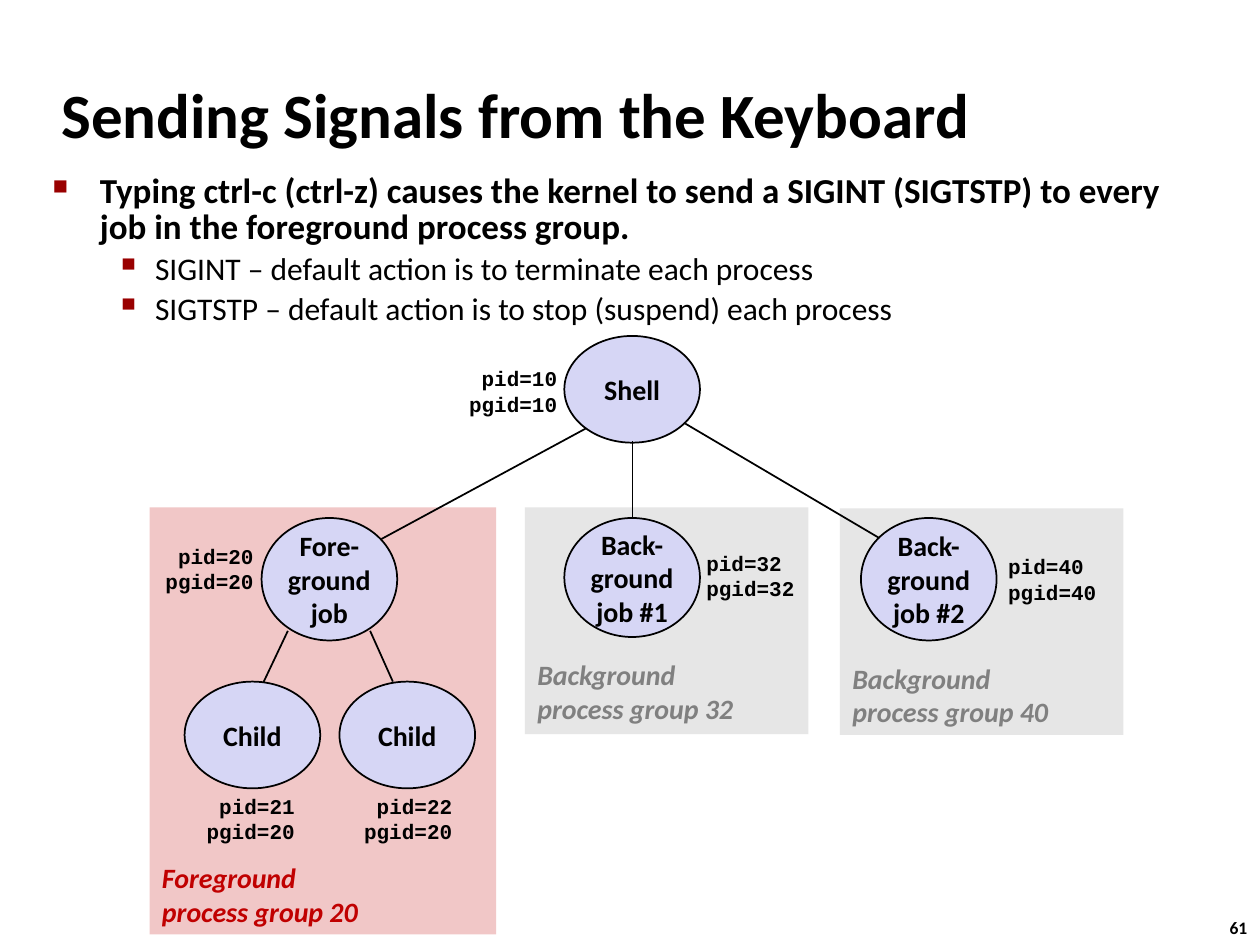
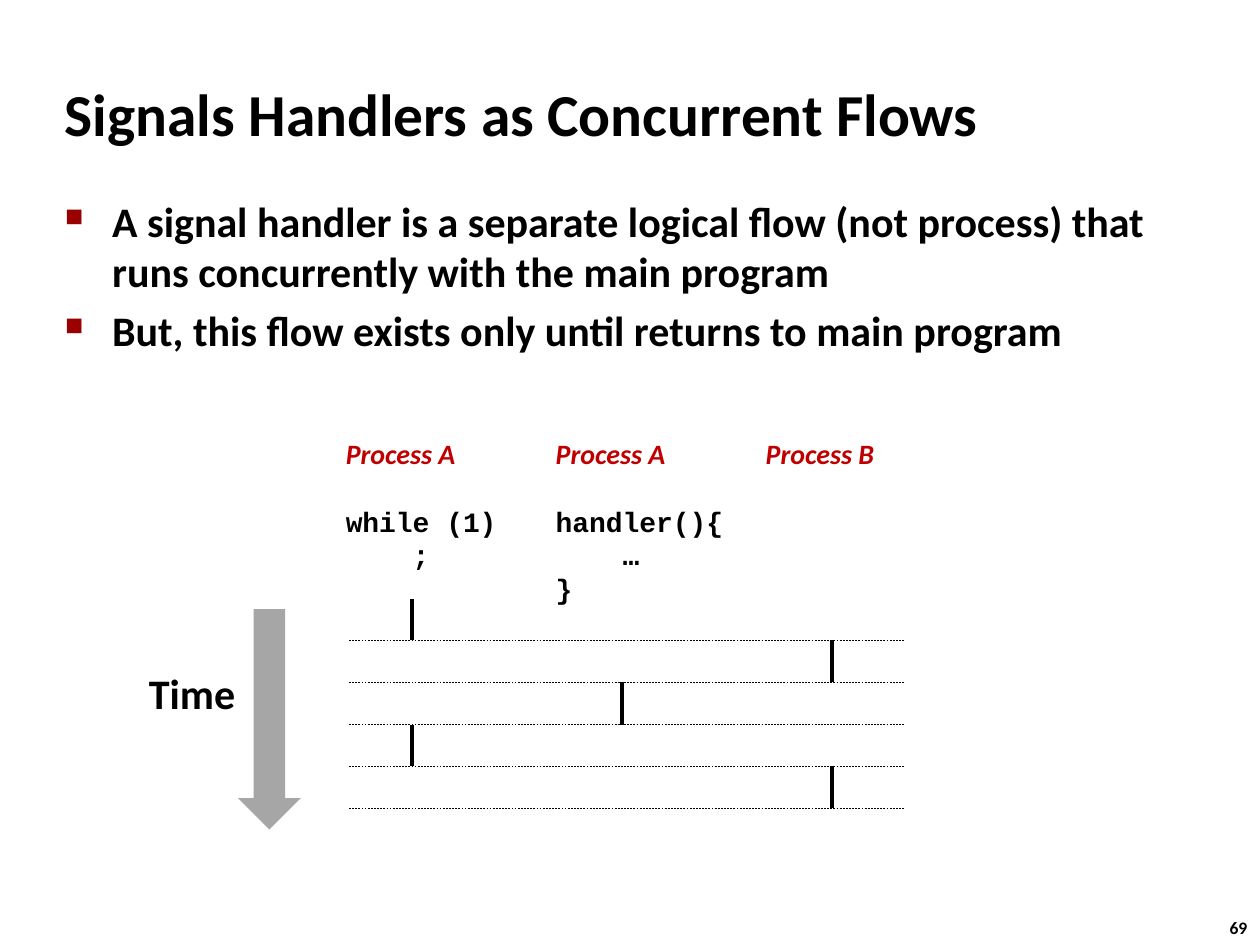
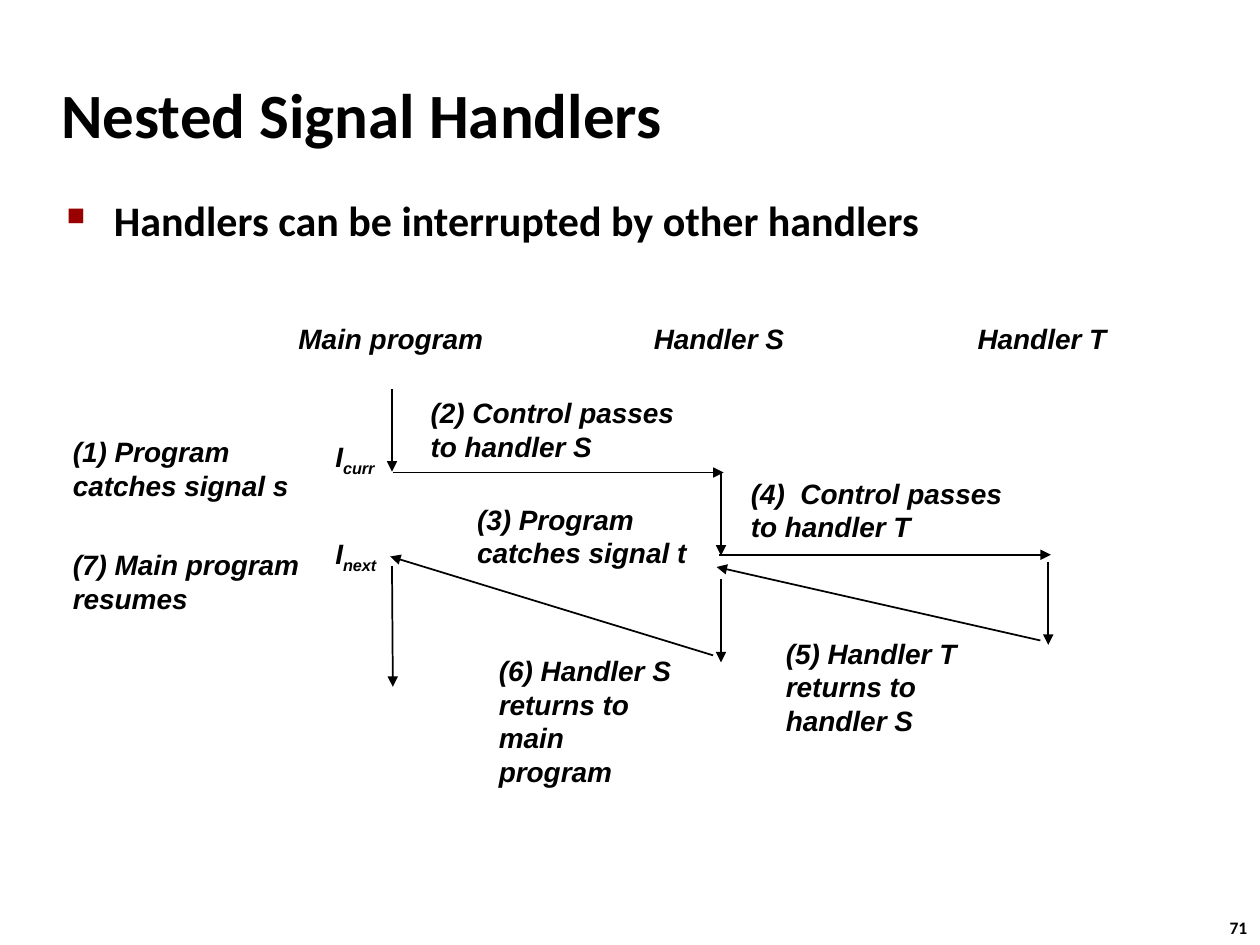
import pptx
import pptx.util
import pptx.dml.color
import pptx.enum.dml
import pptx.enum.shapes
import pptx.enum.text
import pptx.oxml.ns
from lxml import etree

Pt = pptx.util.Pt
ALIGN = pptx.enum.text.PP_ALIGN
ANCHOR = pptx.enum.text.MSO_ANCHOR
SHAPE = pptx.enum.shapes.MSO_SHAPE

COLORS = {
    "black": "000000",
    "bullet": "990000",
    "red": "C00000",
    "gray": "808080",
    "arrow": "A6A6A6",
    "background_group": "E6E6E6",
    "foreground_group": "F1C7C7",
    "process": "D6D6F5",
}

STYLES = {
    "title": ("Calibri", 36, "black", True, False),
    "long_title": ("Calibri", 34, "black", True, False),
    "number": ("Calibri", 10, "black", True, False),
    "bullet": ("Calibri", 24, "black", True, False),
    "small_bullet": ("Calibri", 20, "black", True, False),
    "sub_bullet": ("Calibri", 18, "black", False, False),
    "process": ("Calibri", 16, "black", True, False),
    "red_caption": ("Calibri", 16, "red", True, True),
    "gray_caption": ("Calibri", 16, "gray", True, True),
    "pid": ("Courier New", 12, "black", True, False),
    "code": ("Courier New", 16, "black", True, False),
    "step": ("Arial", 16, "black", True, True),
}

BULLETS = {
    "bullet": ("■", 60, 27, 27, None, 0),
    "small_bullet": ("■", 60, 27, 27, 0.85, 0),
    "sub_bullet": ("▪", 110, 58.5, 22.5, 0.9, 1),
}


def rgb(name):
    return pptx.dml.color.RGBColor.from_string(COLORS[name])


def add_element(parent, tag, **attributes):
    return etree.SubElement(parent, pptx.oxml.ns.qn(tag), attributes)


def format_paragraph(paragraph, style):
    name, size, color, bold, italic = STYLES[style]
    for run in paragraph.runs:
        run.font.name = name
        run.font.size = Pt(size)
        run.font.color.rgb = rgb(color)
        run.font.bold = bold
        run.font.italic = italic


def fill_text(text_frame, text, style, align=ALIGN.LEFT):
    text_frame.text = text
    for paragraph in text_frame.paragraphs:
        paragraph.alignment = align
        format_paragraph(paragraph, style)


def add_text(slide, box, text, style, align=ALIGN.LEFT, anchor=ANCHOR.TOP, wrap=False, grow=True):
    text_frame = slide.shapes.add_textbox(*map(Pt, box)).text_frame
    text_frame.word_wrap = wrap
    text_frame.vertical_anchor = anchor
    if grow:
        text_frame.auto_size = pptx.enum.text.MSO_AUTO_SIZE.SHAPE_TO_FIT_TEXT
    fill_text(text_frame, text, style, align)
    return text_frame


def add_bullets(slide, box, items):
    text = "\n".join(item for item, _ in items)
    text_frame = add_text(slide, box, text, items[0][1], wrap=True, grow=False)
    for index, (_, style) in enumerate(items):
        paragraph = text_frame.paragraphs[index]
        character, percent, margin, hanging, spacing, level = BULLETS[style]
        properties = paragraph._p.get_or_add_pPr()
        properties.set("marL", str(Pt(margin)))
        properties.set("indent", str(-Pt(hanging)))
        color = add_element(properties, "a:buClr")
        add_element(color, "a:srgbClr", val=COLORS["bullet"])
        add_element(properties, "a:buSzPct", val=str(percent * 1000))
        add_element(properties, "a:buChar", char=character)
        paragraph.level = level
        paragraph.line_spacing = spacing
        if index:
            paragraph.space_before = Pt(0.2 * STYLES[style][1])
        format_paragraph(paragraph, style)


def add_shape(slide, kind, box, fill, outline=None):
    shape = slide.shapes.add_shape(kind, *map(Pt, box))
    shape.shadow.inherit = False
    shape.fill.solid()
    shape.fill.fore_color.rgb = rgb(fill)
    if outline:
        shape.line.color.rgb = rgb(outline)
        shape.line.width = Pt(1)
    else:
        shape.line.fill.background()
    return shape


def add_process(slide, left, top, height, text):
    shape = add_shape(slide, SHAPE.OVAL, (left, top, 77.5, height), "process", "black")
    shape.text_frame.word_wrap = False
    shape.text_frame.vertical_anchor = ANCHOR.MIDDLE
    fill_text(shape.text_frame, text, "process", ALIGN.CENTER)


def add_line(slide, points, width=1, dashed=False, arrow=False):
    connector = slide.shapes.add_connector(
        pptx.enum.shapes.MSO_CONNECTOR.STRAIGHT, *map(Pt, points))
    connector.line.color.rgb = rgb("black")
    connector.line.width = Pt(width)
    if dashed:
        connector.line.dash_style = pptx.enum.dml.MSO_LINE.DASH
    properties = connector._element.spPr
    if arrow:
        add_element(properties.find(pptx.oxml.ns.qn("a:ln")), "a:tailEnd", type="triangle")
    add_element(properties, "a:effectLst")


def add_slide(presentation, number, title, left=28, style="title"):
    slide = presentation.slides.add_slide(presentation.slide_layouts[6])
    add_text(slide, (695.5, 520.5, 26.5, 19.5), str(number), "number")
    add_text(slide, (left, 34.5, 597.5, 60), title, style,
             anchor=ANCHOR.MIDDLE, wrap=True, grow=False)
    return slide


def add_keyboard_slide(presentation):
    slide = add_slide(presentation, 61, "Sending Signals from the Keyboard")
    add_bullets(slide, (23, 96.5, 654.5, 101.5), [
        ("Typing ctrl-c (ctrl-z) causes the kernel to send a SIGINT (SIGTSTP) "
         "to every job in the foreground process group.", "small_bullet"),
        ("SIGINT – default action is to terminate each process", "sub_bullet"),
        ("SIGTSTP – default action is to stop (suspend) each process", "sub_bullet"),
    ])

    for box, fill in [
        ((480, 290.5, 162, 129.5), "background_group"),
        ((300, 290, 162, 129.5), "background_group"),
        ((85.5, 290, 198, 244), "foreground_group"),
    ]:
        add_shape(slide, SHAPE.RECTANGLE, box, fill)

    for process in [
        (149.5, 296, 70, "Fore-\nground\njob"),
        (322.5, 296, 68, "Back-\nground\njob #1"),
        (492, 296, 70, "Back-\nground\njob #2"),
        (322.5, 192, 61, "Shell"),
        (105.5, 389.5, 61, "Child"),
        (194, 389.5, 61, "Child"),
    ]:
        add_process(slide, *process)

    for points in [
        (164.5, 360.5, 150.5, 390),
        (211.5, 360.5, 224.5, 389.5),
        (361.5, 252, 361.5, 296),
        (334.5, 245, 218, 308),
        (391.5, 242, 502.5, 307.5),
    ]:
        add_line(slide, points)

    for left, top, pid, pgid, align in [
        (260, 205.5, 10, 10, ALIGN.RIGHT),
        (86.5, 307, 20, 20, ALIGN.RIGHT),
        (396.5, 311, 32, 32, ALIGN.LEFT),
        (569, 313, 40, 40, ALIGN.LEFT),
        (110, 450, 21, 20, ALIGN.RIGHT),
        (200, 450, 22, 20, ALIGN.RIGHT),
    ]:
        add_text(slide, (left, top, 65.5, 36), f"pid={pid}\npgid={pgid}", "pid",
                 align, ANCHOR.MIDDLE)

    for left, top, group, number, style in [
        (85.5, 488, "Foreground", 20, "red_caption"),
        (300, 372, "Background", 32, "gray_caption"),
        (480, 374, "Background", 40, "gray_caption"),
    ]:
        add_text(slide, (left, top, 128, 46), f"{group}\nprocess group {number}", style,
                 anchor=ANCHOR.MIDDLE)


def add_flows_slide(presentation):
    slide = add_slide(presentation, 69, "Signals Handlers as Concurrent Flows", 30, "long_title")
    add_bullets(slide, (30, 108, 654.5, 102), [
        ("A signal handler is a separate logical flow (not process) that "
         "runs concurrently with the main program", "bullet"),
        ("But, this flow exists only until returns to main program", "bullet"),
    ])

    column_gap, row_height, first_row = 120, 24, 342
    for column, (width, height, lines) in enumerate([
        (101, 84, ["Process A", "while (1)", "    ;"]),
        (111, 103.5, ["Process A", "handler(){", "    …", "}"]),
        (78, 26.5, ["Process B"]),
    ]):
        box = (190.5 + column * column_gap, 246, width, height)
        text_frame = add_text(slide, box, "\n".join(lines), "red_caption")
        for paragraph in text_frame.paragraphs[1:]:
            format_paragraph(paragraph, "code")
        if len(lines) > 1:
            text_frame.paragraphs[1].space_before = Pt(19.5)

    for row, running_column in enumerate([0, 2, 1, 0, 2]):
        x = 235.5 + running_column * column_gap
        top = first_row + row * row_height
        bottom = top + row_height
        add_line(slide, (x, top, x, bottom), width=2)
        add_line(slide, (199.5, bottom, 517, bottom), width=0.25, dashed=True)

    add_text(slide, (78, 378, 64, 36), "Time", "bullet", wrap=True)
    add_shape(slide, SHAPE.DOWN_ARROW, (136, 348, 36, 126), "arrow")


def add_nested_slide(presentation):
    slide = add_slide(presentation, 71, "Nested Signal Handlers")
    add_bullets(slide, (31, 107.5, 622, 49),
                [("Handlers can be interrupted by other handlers", "bullet")])

    for points in [
        (224, 222.5, 224, 269.5),
        (224.5, 270, 413.5, 270),
        (594.5, 366, 409.5, 324),
        (224, 323.5, 224.5, 392.5),
        (412, 270, 412, 317.5),
        (411, 317, 600.5, 317),
        (599, 321, 599, 368.5),
        (412, 331, 412, 378.5),
        (407.5, 374.5, 223, 318),
    ]:
        add_line(slide, points, arrow=True)

    for left, top, width, height, text in [
        (163.5, 180, 125, 26.5, "Main program"),
        (366.5, 180, 96, 26.5, "Handler S"),
        (551.5, 180, 96, 26.5, "Handler T"),
        (34.5, 245, 151, 46, "(1) Program catches signal s"),
        (239, 222.5, 161.5, 46, "(2) Control passes to handler S"),
        (265.5, 283.5, 146, 46, "(3) Program catches signal t"),
        (422, 268.5, 166.5, 46, "(4)  Control passes to handler T"),
        (442, 360, 116.5, 65.5, "(5) Handler T\nreturns to handler S"),
        (278, 370, 116.5, 85, "(6) Handler S\nreturns to main program"),
        (34.5, 309.5, 151, 46, "(7) Main program resumes"),
    ]:
        add_text(slide, (left, top, width, height), text, "step", wrap=True)

    for top, subscript in [(247.5, "curr"), (303, "next")]:
        text_frame = add_text(slide, (184.5, top, 43.5, 26.5), "I", "step")
        paragraph = text_frame.paragraphs[0]
        run = paragraph.add_run()
        run.text = subscript
        format_paragraph(paragraph, "step")
        run._r.get_or_add_rPr().set("baseline", "-25000")


def main():
    presentation = pptx.Presentation()
    presentation.slide_width = Pt(720)
    presentation.slide_height = Pt(540)
    add_keyboard_slide(presentation)
    add_flows_slide(presentation)
    add_nested_slide(presentation)
    presentation.save("out.pptx")


if __name__ == "__main__":
    main()
